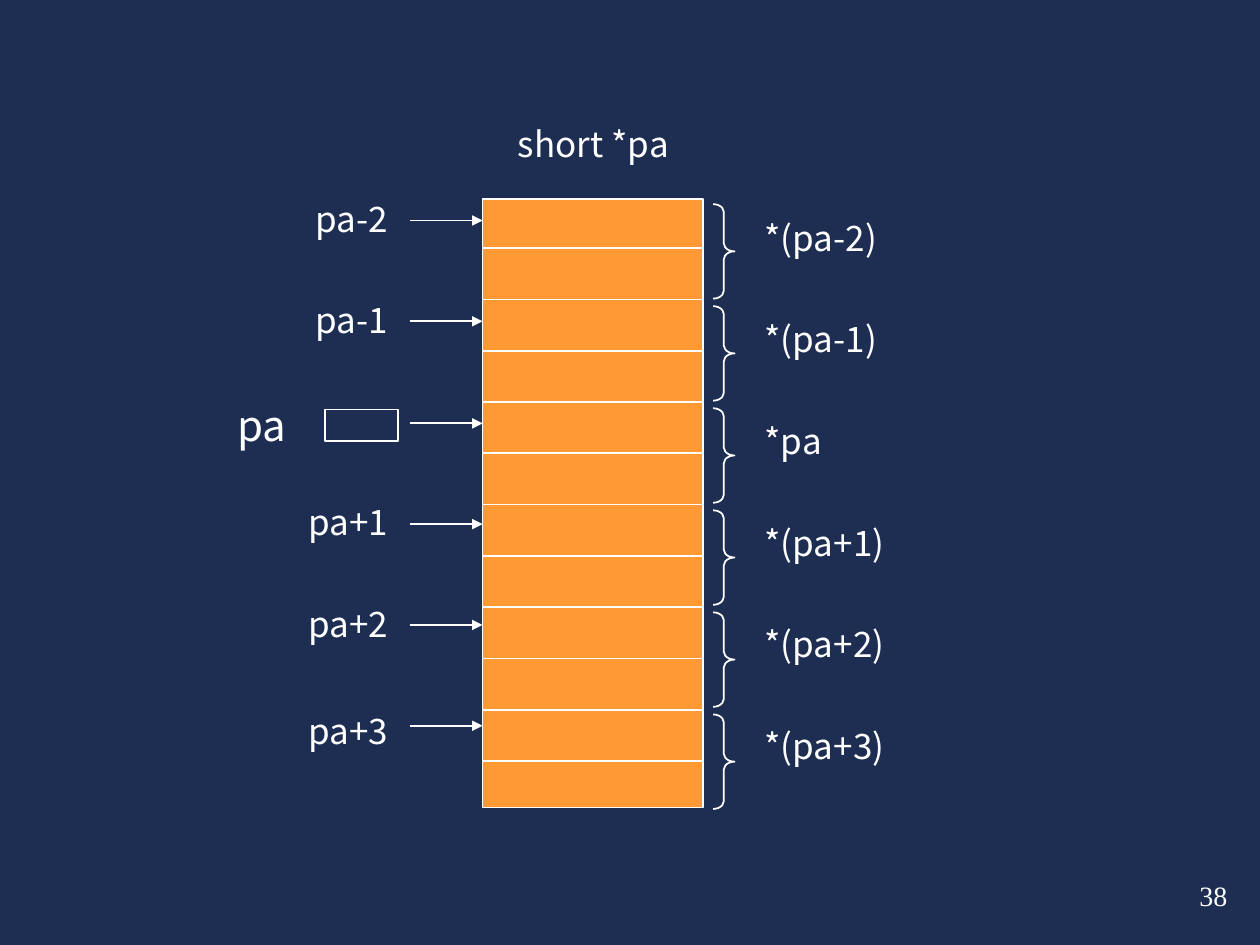
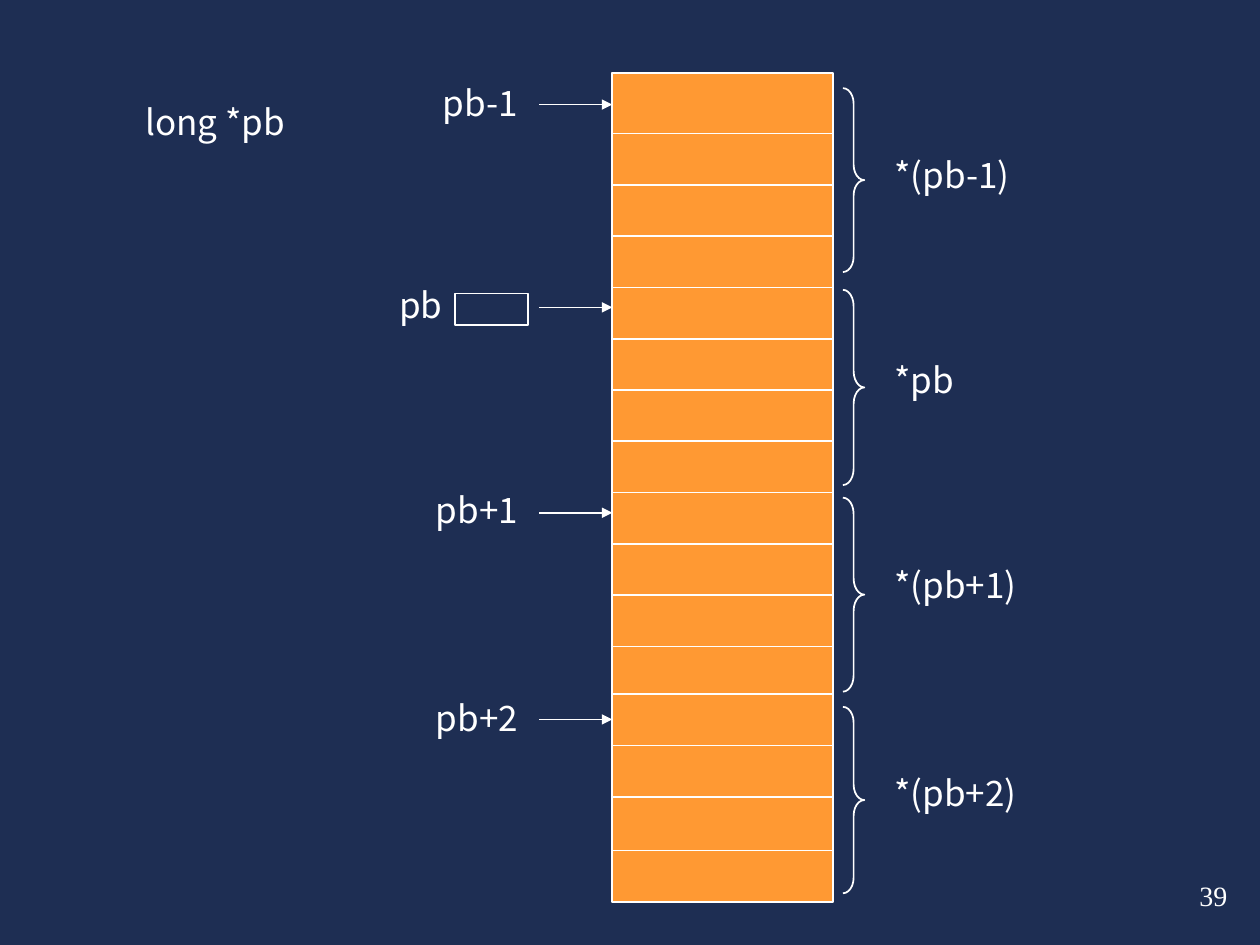
import pptx
import pptx.util
import pptx.dml.color
import pptx.enum.shapes
import pptx.enum.text
import pptx.oxml.ns
import lxml.etree

Inches, Pt = pptx.util.Inches, pptx.util.Pt
SHAPE = pptx.enum.shapes.MSO_SHAPE
ALIGN = pptx.enum.text.PP_ALIGN

# Shared look
NAVY = pptx.dml.color.RGBColor(0x1E, 0x2E, 0x53)
ORANGE = pptx.dml.color.RGBColor(0xFF, 0x99, 0x33)
WHITE = pptx.dml.color.RGBColor(0xFF, 0xFF, 0xFF)
LABEL_FONT, NUMBER_FONT = "Noto Sans CJK SC", "Times New Roman"
LINE_WIDTH = 0.99
MEMORY_WIDTH, CELL_STEP = 1.75, 0.407
BRACE_WIDTH, LABEL_HEIGHT = 0.17, 0.44

# Content: each element is (pointer, pointer top, arrow y,
#                           value, value top, brace top, brace height)
# dividers are evenly spaced runs of (first y, count);
# variable is the pointer that has its own box: (left, top, width, height, size, align)
DIAGRAMS = [
    {
        "number": "38", "title": "short *pa", "title_at": (3.92, 0.92),
        "memory": (3.83, 1.58, 4.83), "dividers": [(1.97, 11)],
        "variable": ("pa", 1.58, 3.12, 1, 0.5, 24, ALIGN.CENTER), "variable_box_top": 3.25,
        "elements": [
            ("pa-2", 1.52, 1.75, "*(pa-2)", 1.67, 1.62, 0.75),
            ("pa-1", 2.32, 2.55, "*(pa-1)", 2.47, 2.43, 0.75),
            (None, None, 3.36, "*pa", 3.28, 3.24, 0.75),
            ("pa+1", 3.92, 4.16, "*(pa+1)", 4.09, 4.05, 0.75),
            ("pa+2", 4.73, 4.96, "*(pa+2)", 4.89, 4.86, 0.75),
            ("pa+3", 5.58, 5.76, "*(pa+3)", 5.70, 5.67, 0.75),
        ],
    },
    {
        "number": "39", "title": "long *pb", "title_at": (0.92, 0.75),
        "memory": (4.86, 0.58, 6.58), "dividers": [(1.06, 11), (5.51, 3), (6.75, 1)],
        "variable": ("pb", 2.67, 2.2, 0.94, 0.44, 20, ALIGN.RIGHT), "variable_box_top": 2.33,
        "elements": [
            ("pb-1", 0.60, 0.83, "*(pb-1)", 1.17, 0.70, 1.46),
            (None, None, 2.44, "*pb", 2.80, 2.30, 1.55),
            ("pb+1", 3.83, 4.07, "*(pb+1)", 4.42, 3.95, 1.54),
            ("pb+2", 5.48, 5.71, "*(pb+2)", 6.07, 5.61, 1.48),
        ],
    },
]


def add_text(slide, text, left, top, width, height=LABEL_HEIGHT, *, size=20,
             font=LABEL_FONT, align=ALIGN.LEFT, before=12.5):
    box = slide.shapes.add_textbox(Inches(left), Inches(top), Inches(width), Inches(height))
    frame = box.text_frame
    frame.word_wrap = True
    frame.auto_size = pptx.enum.text.MSO_AUTO_SIZE.SHAPE_TO_FIT_TEXT
    paragraph = frame.paragraphs[0]
    paragraph.alignment = align
    paragraph.space_before = Pt(before)
    run = paragraph.add_run()
    run.text = text
    run.font.size, run.font.name = Pt(size), font
    run.font.color.rgb = WHITE


def add_outlined(slide, kind, left, top, width, height, fill=None):
    shape = slide.shapes.add_shape(kind, Inches(left), Inches(top), Inches(width), Inches(height))
    shape.shadow.inherit = False
    if fill is None:
        shape.fill.background()
    else:
        shape.fill.solid()
        shape.fill.fore_color.rgb = fill
    shape.line.color.rgb = WHITE
    shape.line.width = Pt(LINE_WIDTH)
    return shape


def add_level_line(slide, left, right, y, arrow=False):
    line = slide.shapes.add_connector(pptx.enum.shapes.MSO_CONNECTOR.STRAIGHT,
                                      Inches(left), Inches(y), Inches(right), Inches(y))
    line.line.color.rgb = WHITE
    line.line.width = Pt(LINE_WIDTH)
    if arrow:
        lxml.etree.SubElement(line.line._get_or_add_ln(), pptx.oxml.ns.qn("a:tailEnd"),
                              type="triangle")
    lxml.etree.SubElement(line._element.spPr, pptx.oxml.ns.qn("a:effectLst"))


def draw_diagram(slide, diagram):
    left, top, height = diagram["memory"]
    right = left + MEMORY_WIDTH

    # Memory column and its cells
    add_outlined(slide, SHAPE.RECTANGLE, left, top, MEMORY_WIDTH, height, ORANGE)
    for first, count in diagram["dividers"]:
        for i in range(count):
            add_level_line(slide, left, right, first + i * CELL_STEP)

    # Pointer, arrow, brace and value of each element
    for pointer, pointer_top, arrow_y, value, value_top, brace_top, brace_height in diagram["elements"]:
        if pointer:
            add_text(slide, pointer, left - 1.83, pointer_top, 1.18, align=ALIGN.RIGHT)
        add_level_line(slide, left - 0.58, left, arrow_y, arrow=True)
        brace = add_outlined(slide, SHAPE.RIGHT_BRACE, right + 0.08, brace_top,
                             BRACE_WIDTH, brace_height)
        brace.adjustments[0] = brace_height / 12 / BRACE_WIDTH
        add_text(slide, value, left + 2.14, value_top, 1.67)

    # The pointer variable with its box
    name, name_left, name_top, name_width, name_height, size, align = diagram["variable"]
    add_text(slide, name, name_left, name_top, name_width, name_height,
             size=size, align=align, before=size * 0.625)
    add_outlined(slide, SHAPE.RECTANGLE, left - 1.25, diagram["variable_box_top"], 0.58, 0.25)

    # Declaration and page number
    add_text(slide, diagram["title"], *diagram["title_at"], 1.58, align=ALIGN.CENTER)
    add_text(slide, diagram["number"], 9.42, 6.92, 0.58, 0.37,
             size=16, font=NUMBER_FONT, before=0)


deck = pptx.Presentation()
deck.slide_width, deck.slide_height = Inches(10), Inches(7.5)
backdrop = deck.slide_master.background.fill
backdrop.solid()
backdrop.fore_color.rgb = NAVY
for diagram in DIAGRAMS:
    draw_diagram(deck.slides.add_slide(deck.slide_layouts[6]), diagram)
deck.save("out.pptx")
